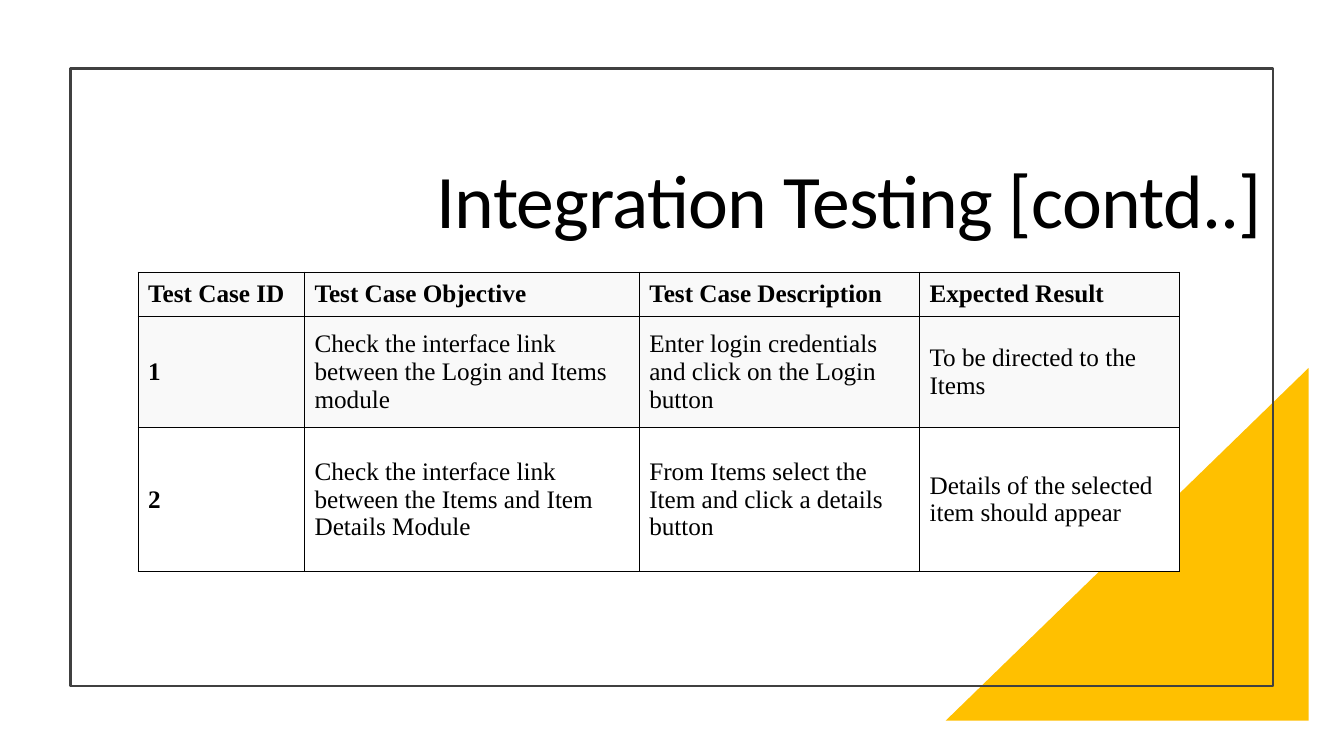
from dataclasses import dataclass

from lxml.etree import SubElement
from pptx import Presentation
from pptx.dml.color import RGBColor
from pptx.enum.shapes import MSO_SHAPE as Preset
from pptx.enum.text import MSO_ANCHOR as Anchor, PP_ALIGN as Align
from pptx.oxml.ns import qn
from pptx.util import Inches, Pt

BLACK = "000000"
COLUMN_WIDTHS = (1.65, 3.32, 2.78, 2.58)
HEADINGS = ("Test Case ID", "Test Case Objective", "Test Case Description", "Expected Result")


@dataclass(frozen=True)
class Box:
    left: float
    top: float
    width: float
    height: float

    def lengths(self):
        return [Inches(value) for value in (self.left, self.top, self.width, self.height)]


@dataclass(frozen=True)
class Decoration:
    preset: Preset
    box: Box
    fill: str = ""
    line: str = ""
    flipped: bool = False


@dataclass(frozen=True)
class TestRow:
    height: float
    fill: str
    texts: tuple[str, ...]


DECORATIONS = (
    Decoration(Preset.RIGHT_TRIANGLE, Box(9.38, 3.65, 3.6, 3.5), fill="FFC000", flipped=True),
    Decoration(Preset.RECTANGLE, Box(0.7, 0.68, 11.93, 6.13), line="404040"),
)

TEST_ROWS = (
    TestRow(0.44, "F9F9F9", HEADINGS),
    TestRow(1.1, "F9F9F9", (
        "1",
        "Check the interface link between the Login and Items module",
        "Enter login credentials and click on the Login button",
        "To be directed to the Items",
    )),
    TestRow(1.43, "FFFFFF", (
        "2",
        "Check the interface link between the Items and Item Details Module",
        "From Items select the Item and click a details button",
        "Details of the selected item should appear",
    )),
)


def color(value: str) -> RGBColor:
    return RGBColor.from_string(value)


def paint(fill, value: str) -> None:
    if value:
        fill.solid()
        fill.fore_color.rgb = color(value)
    else:
        fill.background()


def apply_format(target, values: dict) -> None:
    for name, value in values.items():
        setattr(target, name, value)


def add_text(paragraph, text: str, font_format: dict):
    run = paragraph.add_run()
    run.text = text
    apply_format(run.font, font_format)
    run.font.color.rgb = color(BLACK)
    return run


def add_decoration(slide, decoration: Decoration) -> None:
    shape = slide.shapes.add_shape(decoration.preset, *decoration.box.lengths())
    shape.shadow.inherit = False
    paint(shape.fill, decoration.fill)
    paint(shape.line.fill, decoration.line)
    if decoration.line:
        shape.line.width = Pt(1.5)
    if decoration.flipped:
        shape._element.spPr.find(qn("a:xfrm")).set("flipH", "1")


def add_title(slide, text: str, box: Box) -> None:
    frame = slide.shapes.add_textbox(*box.lengths()).text_frame
    apply_format(frame, {"word_wrap": True, "vertical_anchor": Anchor.MIDDLE})
    paragraph = frame.paragraphs[0]
    apply_format(paragraph, {"alignment": Align.RIGHT, "line_spacing": 0.9})
    run = add_text(paragraph, text, {"name": "Calibri", "size": Pt(54)})
    run.font._element.set("spc", "-50")


def add_borders(cell) -> None:
    properties = cell._tc.get_or_add_tcPr()
    for position, side in enumerate(("lnL", "lnR", "lnT", "lnB")):
        border = properties.makeelement(qn(f"a:{side}"), {"w": str(Pt(1))})
        properties.insert(position, border)
        solid = SubElement(border, qn("a:solidFill"))
        SubElement(solid, qn("a:srgbClr"), val=BLACK)


def add_test_table(slide, rows: tuple[TestRow, ...], box: Box) -> None:
    table = slide.shapes.add_table(len(rows), len(COLUMN_WIDTHS), *box.lengths()).table
    for column, width in zip(table.columns, COLUMN_WIDTHS):
        column.width = Inches(width)
    for row_index, row in enumerate(rows):
        table.rows[row_index].height = Inches(row.height)
        for column_index, text in enumerate(row.texts):
            cell = table.cell(row_index, column_index)
            cell.vertical_anchor = Anchor.MIDDLE
            paint(cell.fill, row.fill)
            add_borders(cell)
            bold = row_index == 0 or column_index == 0
            font_format = {"name": "Times New Roman", "size": Pt(18), "bold": bold}
            add_text(cell.text_frame.paragraphs[0], text, font_format)


def main() -> None:
    presentation = Presentation()
    apply_format(presentation, {"slide_width": Inches(13.33), "slide_height": Inches(7.5)})
    slide = presentation.slides.add_slide(presentation.slide_layouts[6])
    paint(slide.background.fill, "FFFFFF")
    for decoration in DECORATIONS:
        add_decoration(slide, decoration)
    add_title(slide, "Integration Testing [contd..]", Box(1.05, 1.14, 11.57, 1.77))
    add_test_table(slide, TEST_ROWS, Box(1.37, 2.7, 10.33, 2.97))
    presentation.save("out.pptx")


if __name__ == "__main__":
    main()
